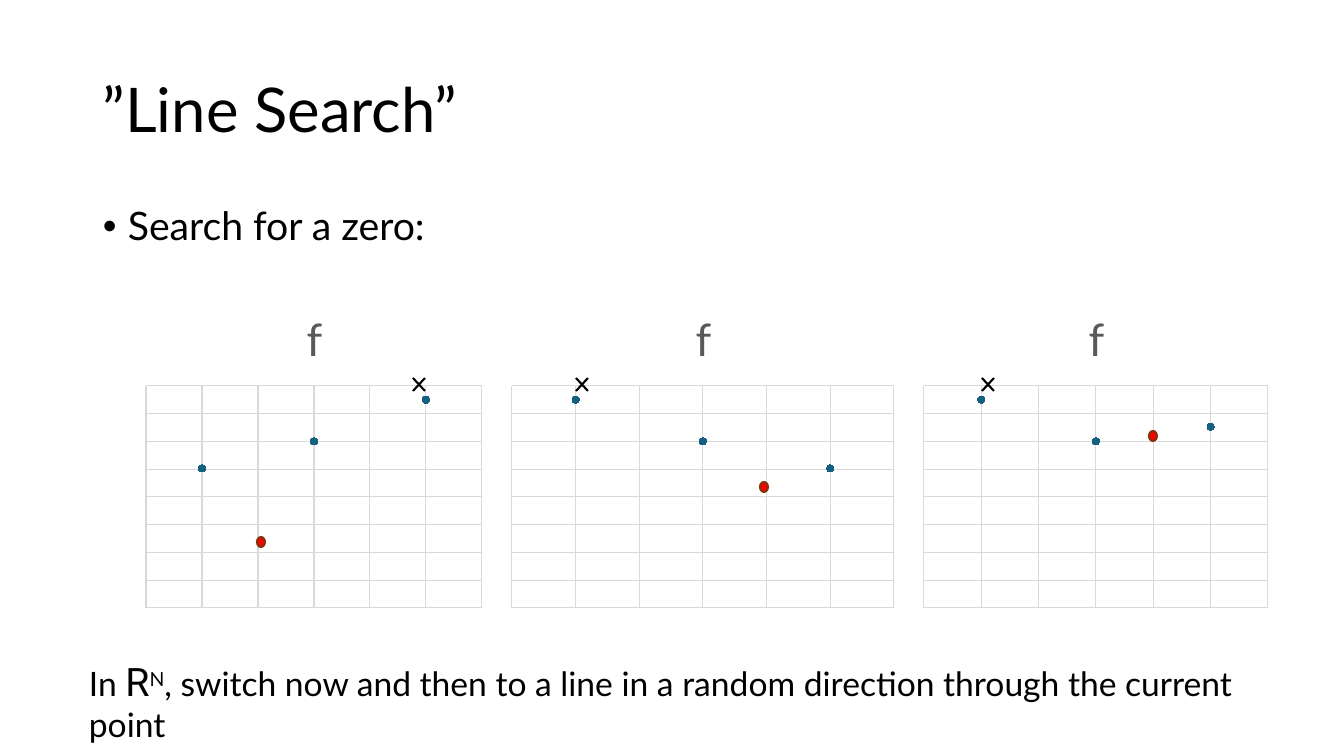
"""Build the "Line Search" slide: three scatter plots showing successive search points."""
from lxml.etree import SubElement
from pptx import Presentation
from pptx.chart.data import XyChartData
from pptx.dml.color import RGBColor
from pptx.enum.chart import XL_CHART_TYPE as ChartType, XL_MARKER_STYLE as Marker
from pptx.enum.shapes import MSO_CONNECTOR as Connector, MSO_SHAPE as Shape
from pptx.enum.text import MSO_ANCHOR as Anchor, MSO_AUTO_SIZE as AutoSize
from pptx.oxml import parse_xml
from pptx.oxml.ns import nsdecls, qn
from pptx.util import Pt

SCALE = 914400 / 100.8
rgb = RGBColor.from_string


def px(*lengths):
    return [round(length * SCALE) for length in lengths]


def write(paragraph, text, size, font="Lato", color="000000"):
    run = paragraph.add_run()
    run.text = text
    for name, value in {"size": Pt(size), "name": font, "bold": False}.items():
        setattr(run.font, name, value)
    run.font.color.rgb = rgb(color)
    return run


deck = Presentation()
deck.slide_width, deck.slide_height = px(1344, 756)
slide = deck.slides.add_slide(deck.slide_layouts[6])

heading = slide.shapes.add_textbox(*px(93, 40, 1159, 146)).text_frame
heading.word_wrap = True
heading.vertical_anchor = Anchor.MIDDLE
heading.paragraphs[0].line_spacing = 0.9
write(heading.paragraphs[0], "”Line Search”", 44)

body = slide.shapes.add_textbox(*px(93, 202, 1159, 480)).text_frame
body.word_wrap = True
goal = body.paragraphs[0]
goal.line_spacing = 0.9
indent = px(25)[0]
bullet_format = goal._p.get_or_add_pPr()
for name, value in {"marL": indent, "indent": -indent}.items():
    bullet_format.set(name, str(value))
SubElement(bullet_format, qn("a:buFont")).set("typeface", "Arial")
SubElement(bullet_format, qn("a:buChar")).set("char", "•")
write(goal, "Search for a zero:", 28)

axis_formats = [
    {"minimum_scale": 0.5, "maximum_scale": 3.5, "major_unit": 0.5},
    {"minimum_scale": 0, "maximum_scale": 106.64, "major_unit": 13.33},
]
searches = [
    (139, 351, (67, 80, 100)),
    (505, 397, (100, 80, 67)),
    (917, 359, (100, 80, 87)),
]
for left, width, values in searches:
    data = XyChartData()
    points = data.add_series("f")
    for x, value in enumerate(values, 1):
        points.add_data_point(x, value)
    chart = slide.shapes.add_chart(
        ChartType.XY_SCATTER, *px(left, 287, width, 328), data).chart
    chart.has_legend = False
    chart.font.size, chart.font.name = Pt(10), "Lato"
    chart.font.color.rgb = rgb("000000")
    chart.has_title = True
    write(chart.chart_title.text_frame.paragraphs[0], "f", 32, color="595959")
    chart.chart_title.include_in_layout = False

    for axis, axis_format in zip((chart.category_axis, chart.value_axis), axis_formats):
        for name, value in axis_format.items():
            setattr(axis, name, value)
        axis.visible = False
        axis.has_major_gridlines = True
        grid = axis.major_gridlines.format.line
        grid.width = Pt(0.75)
        grid.color.rgb = rgb("D9D9D9")

    chart.plots[0].vary_by_categories = False
    series = chart.plots[0].series[0]
    series.smooth = False
    series.format.line.fill.background()
    series.marker.style, series.marker.size = Marker.CIRCLE, 5
    series.marker.format.fill.solid()
    series.marker.format.fill.fore_color.rgb = rgb("156082")
    series.marker.format.line.color.rgb = rgb("156082")

    plot_area = chart._chartSpace.chart.plotArea
    for layout in plot_area.findall(qn("c:layout")):
        plot_area.remove(layout)
    plot_area.insert(0, parse_xml(
        f'<c:layout {nsdecls("c")}><c:manualLayout><c:layoutTarget val="inner"/>'
        '<c:xMode val="edge"/><c:yMode val="edge"/>'
        f'<c:x val="{7 / width}"/><c:y val="{99 / 328}"/>'
        f'<c:w val="{(width - 15) / width}"/><c:h val="{222 / 328}"/>'
        '</c:manualLayout></c:layout>'))

footnote = slide.shapes.add_textbox(*px(79, 652, 1227, 57)).text_frame
footnote.word_wrap = True
footnote.auto_size = AutoSize.SHAPE_TO_FIT_TEXT
remark = footnote.paragraphs[0]
write(remark, "In ", 24)
write(remark, "R", 28, "Roboto")
exponent = write(remark, "N", 24)
exponent.font._element.set("baseline", "30000")
write(remark, ", switch now and then to a line in a random direction through the current point", 24)

cross_top, cross_bottom, cross_width = 378, 391, 12
for dot_left, dot_top, cross_left in [(257, 537, 413), (760, 482, 576), (1149, 431, 982)]:
    step = slide.shapes.add_group_shape().shapes
    candidate = step.add_shape(Shape.OVAL, *px(dot_left, dot_top, 8, 10))
    candidate.shadow.inherit = False
    candidate.fill.solid()
    candidate.fill.fore_color.rgb = rgb("FF0000")
    candidate.line.color.rgb = rgb("80350E")
    candidate.line.width = Pt(1.5)
    cross_right = cross_left + cross_width
    for start, end in [(cross_left, cross_right), (cross_right, cross_left)]:
        stroke = step.add_connector(
            Connector.STRAIGHT, *px(start, cross_top, end, cross_bottom))
        stroke.line.color.rgb = rgb("000000")
        stroke.line.width = Pt(1.5)
        SubElement(stroke._element.spPr, qn("a:effectLst"))

deck.save("out.pptx")
